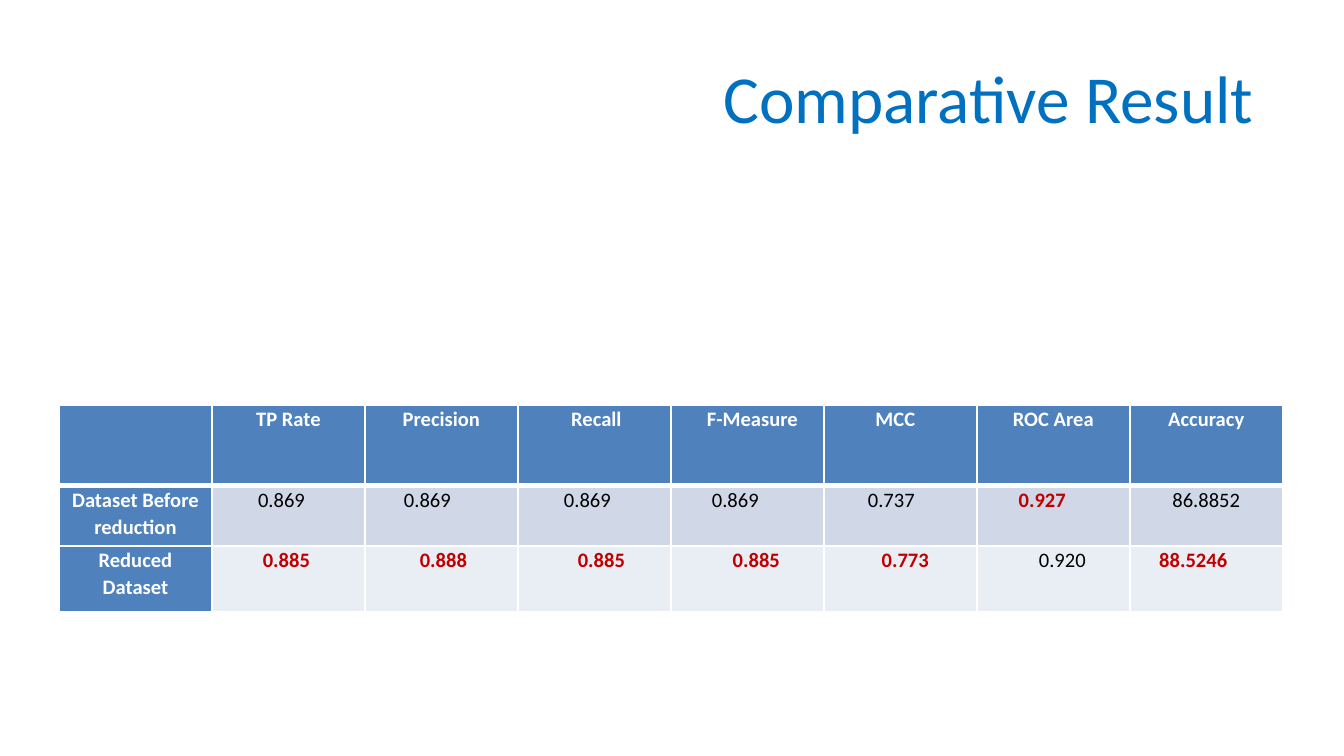
from lxml.etree import SubElement
from pptx import Presentation
from pptx.dml.color import RGBColor
from pptx.enum.text import MSO_ANCHOR as Anchor, PP_ALIGN as Align
from pptx.oxml.ns import qn
from pptx.util import Emu, Pt

EMU_PER_PX = 914400 / 134.4
WHITE, BLACK, RED = "FFFFFF", "000000", "C00000"
TITLE_BLUE, HEADER_BLUE = "0070C0", "4F81BD"
BAND_FILLS = ("D0D8E8", "E9EDF4")
COLUMN_WIDTH = 153
ROW_HEIGHTS = (81, 60, 66)
CELL_MARGIN = 9

METRICS = ("TP Rate", "Precision", "Recall", "F-Measure", "MCC", "ROC Area", "Accuracy")
DATASETS = ("Dataset Before reduction", "Reduced Dataset")
SCORES = (
    ("0.869", "0.869", "0.869", "0.869", "0.737", "0.927", "86.8852"),
    ("0.885", "0.888", "0.885", "0.885", "0.773", "0.920", "88.5246"),
)
METRIC_SHIFTS = (0, 0, 2, 5, -5, 0, 0)
SCORE_SHIFTS = ((-7, -14, -7, -12, -9, -11, 0), (-2, 2, 7, 9, 5, 9, -13))


def px(length):
    """Turn pixels into EMU."""
    return Emu(round(length * EMU_PER_PX))


def color(hex_text):
    """Turn a hex string into a colour."""
    return RGBColor.from_string(hex_text)


def write(frame, text, size=11, fill=BLACK, bold=False, align=Align.CENTER, spacing=None):
    """Put one formatted paragraph into a text frame."""
    paragraph = frame.paragraphs[0]
    paragraph.alignment = align
    paragraph.line_spacing = spacing
    run = paragraph.add_run()
    run.text = text
    run.font.name = "Calibri"
    run.font.size = Pt(size)
    run.font.bold = bold
    run.font.color.rgb = color(fill)


def set_borders(cell, top=1, bottom=1):
    """Draw white lines around a table cell."""
    properties = cell._tc.get_or_add_tcPr()
    for side, width in (("L", 1), ("R", 1), ("T", top), ("B", bottom)):
        line = SubElement(properties, qn(f"a:ln{side}"), w=str(Pt(width)))
        line_fill = SubElement(line, qn("a:solidFill"))
        SubElement(line_fill, qn("a:srgbClr"), val=WHITE)


class ResultSlide:
    """Hold the slide and its table style."""

    def __init__(self, presentation):
        """Add a slide with a title."""
        self.slide = presentation.slides.add_slide(presentation.slide_layouts[5])

    def title(self, text, left, top, width, height):
        """Place and format the title."""
        heading = self.slide.shapes.title
        heading.left, heading.top = px(left), px(top)
        heading.width, heading.height = px(width), px(height)
        heading.text_frame.vertical_anchor = Anchor.MIDDLE
        write(heading.text_frame, text, size=36, fill=TITLE_BLUE, align=Align.RIGHT)

    def cell(self, cell, text, background, shift=0, top=1, bottom=1, **text_format):
        """Fill a cell and move its centred text sideways by shift."""
        set_borders(cell, top, bottom)
        cell.fill.solid()
        cell.fill.fore_color.rgb = color(background)
        cell.margin_left = px(CELL_MARGIN + max(2 * shift, 0))
        cell.margin_right = px(CELL_MARGIN + max(-2 * shift, 0))
        cell.margin_top = cell.margin_bottom = 0
        if text:
            write(cell.text_frame, text, spacing=1.07, **text_format)

    def results(self, left, top):
        """Build the table with the best score of each metric in red."""
        columns = len(METRICS) + 1
        table = self.slide.shapes.add_table(
            len(ROW_HEIGHTS), columns, px(left), px(top),
            px(COLUMN_WIDTH * columns), px(sum(ROW_HEIGHTS)),
        ).table
        for column in table.columns:
            column.width = px(COLUMN_WIDTH)
        for row, height in zip(table.rows, ROW_HEIGHTS):
            row.height = px(height)

        for index, (metric, shift) in enumerate(zip(("",) + METRICS, (0,) + METRIC_SHIFTS)):
            self.cell(table.cell(0, index), metric, HEADER_BLUE, shift, bottom=3, fill=WHITE, bold=True)

        best_scores = [max(pair, key=float) for pair in zip(*SCORES)]
        body = zip(DATASETS, SCORES, SCORE_SHIFTS, BAND_FILLS)
        for row, (dataset, scores, shifts, band) in enumerate(body, 1):
            top_line = 3 if row == 1 else 1
            self.cell(table.cell(row, 0), dataset, HEADER_BLUE, top=top_line, fill=WHITE, bold=True)
            for index, (score, shift, best) in enumerate(zip(scores, shifts, best_scores), 1):
                is_best = score == best
                self.cell(table.cell(row, index), score, band, shift, top=top_line,
                          fill=RED if is_best else BLACK, bold=is_best)


def main():
    """Build and save the presentation."""
    presentation = Presentation()
    presentation.slide_width, presentation.slide_height = px(1344), px(756)
    comparison = ResultSlide(presentation)
    comparison.title("Comparative Result", 78, 40, 1189, 113)
    comparison.results(59, 405)
    presentation.save("out.pptx")


if __name__ == "__main__":
    main()
